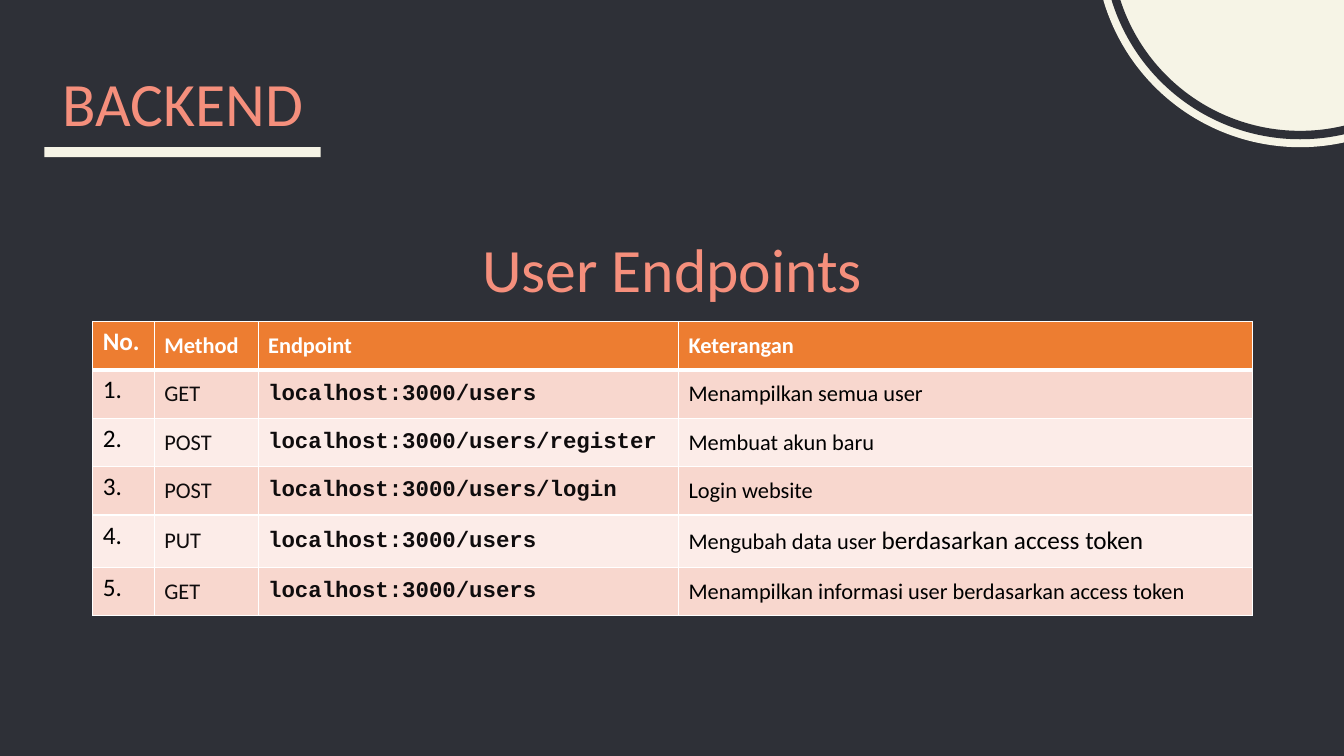
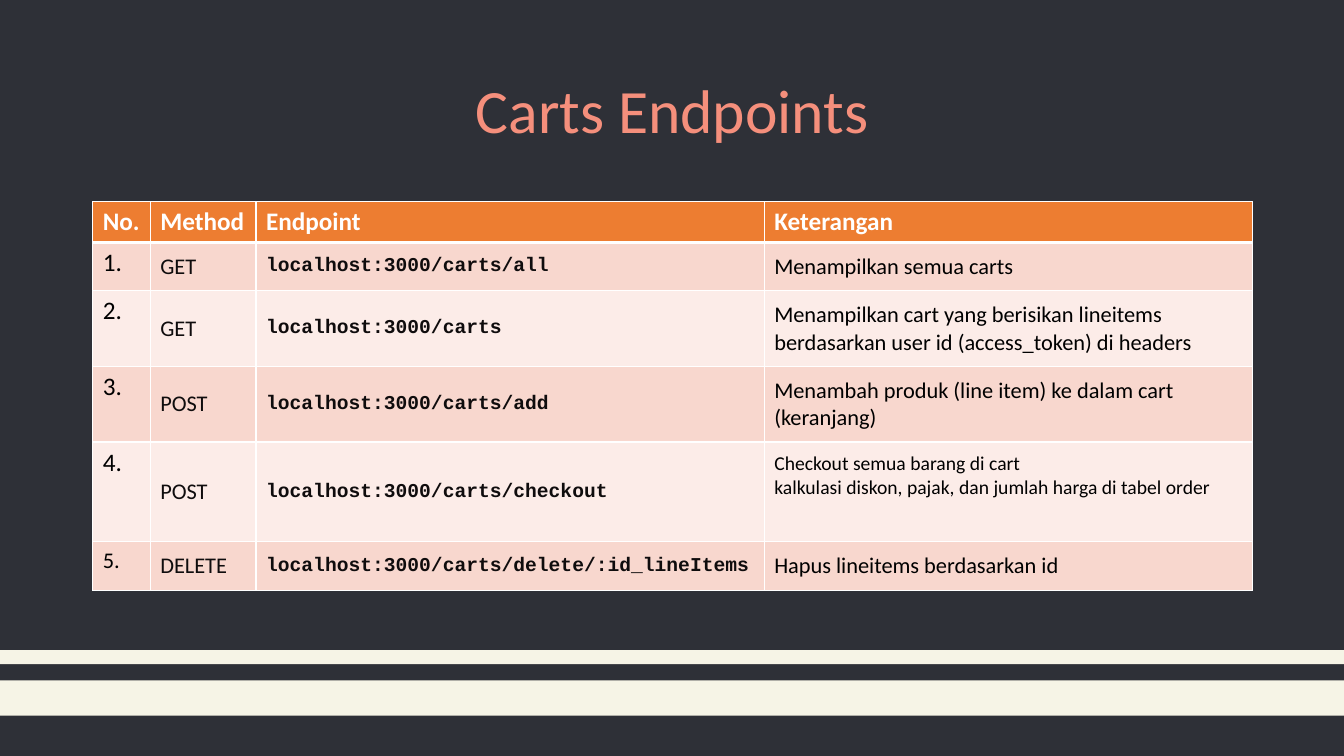
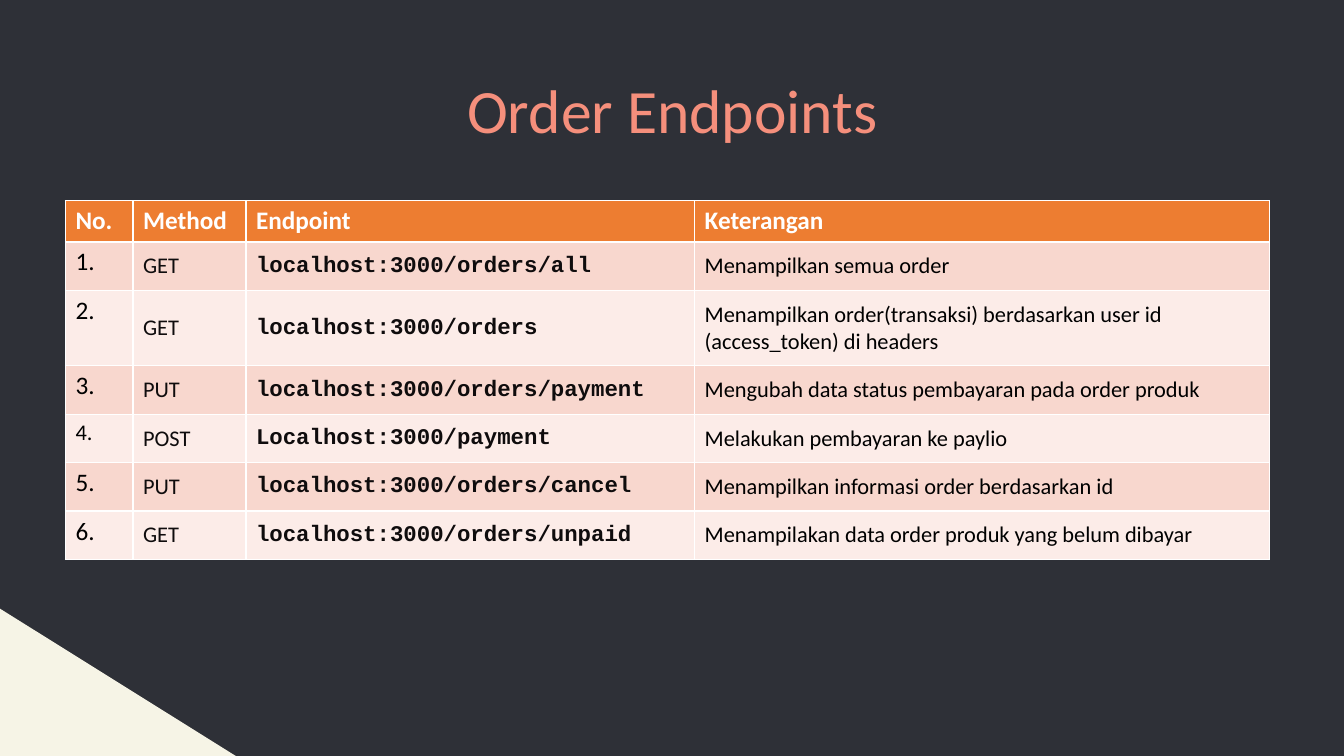
"""Build three slides that list the backend endpoints in tables."""
from lxml.etree import SubElement
from pptx import Presentation
from pptx.dml.color import RGBColor
from pptx.enum.shapes import MSO_SHAPE
from pptx.enum.text import MSO_ANCHOR, PP_ALIGN
from pptx.oxml.ns import qn
from pptx.util import Inches, Pt

NIGHT = RGBColor(0x2E, 0x30, 0x37)
CREAM = RGBColor(0xF6, 0xF4, 0xE6)
CORAL = RGBColor(0xF5, 0x8F, 0x7C)
ORANGE = RGBColor(0xED, 0x7D, 0x31)
ROSE = RGBColor(0xF8, 0xD7, 0xCE)
BLUSH = RGBColor(0xFC, 0xEC, 0xE8)
WHITE = RGBColor(0xFF, 0xFF, 0xFF)
BLACK = RGBColor(0x00, 0x00, 0x00)
INK = RGBColor(0x0F, 0x0C, 0x0D)

BODY_FONT = "Calibri"
CODE_FONT = "Courier New"
TITLE_ONLY = 5
PADDING = 0.1
NUMBER, METHOD, ENDPOINT, NOTE = range(4)
HEADER = ("No.", "Method", "Endpoint", "Keterangan")

USERS = {
    "title": "User Endpoints",
    "title_top": 1.98,
    "at": (0.92, 3.19),
    "columns": (0.61, 1.03, 4.17, 5.69),
    "heights": (0.48, 0.48, 0.48, 0.48, 0.52, 0.48),
    "header_size": 16,
    "code_size": 16,
    "header_rule": 3,
    "sizes": {(0, NUMBER): 18},
    "rows": [
        ("GET", "localhost:3000/users", "Menampilkan semua user"),
        ("POST", "localhost:3000/users/register", "Membuat akun baru"),
        ("POST", "localhost:3000/users/login", "Login website"),
        ("PUT", "localhost:3000/users",
         (("Mengubah data user ", 16), ("berdasarkan access token", 18))),
        ("GET", "localhost:3000/users",
         "Menampilkan informasi user berdasarkan access token"),
    ],
}
CARTS = {
    "title": "Carts Endpoints",
    "title_top": 0.4,
    "at": (0.92, 2),
    "columns": (0.57, 1.05, 5.04, 4.84),
    "heights": (0.4, 0.48, 0.75, 0.75, 0.99, 0.48),
    "header_size": 18,
    "code_size": 14,
    "header_rule": 3,
    "sizes": {(4, NOTE): 14, (5, NUMBER): 16},
    "top_cells": [(4, NOTE)],
    "rows": [
        ("GET", "localhost:3000/carts/all", "Menampilkan semua carts"),
        ("GET", "localhost:3000/carts",
         "Menampilkan cart yang berisikan lineitems berdasarkan user id (access_token) di headers"),
        ("POST", "localhost:3000/carts/add",
         "Menambah produk (line item) ke dalam cart (keranjang)"),
        ("POST", "localhost:3000/carts/checkout",
         "Checkout semua barang di cart\nkalkulasi diskon, pajak, dan jumlah harga di tabel order"),
        ("DELETE", "localhost:3000/carts/delete/:id_lineItems",
         "Hapus lineitems berdasarkan id"),
    ],
}
ORDERS = {
    "title": "Order Endpoints",
    "title_top": 0.4,
    "at": (0.65, 1.99),
    "columns": (0.67, 1.12, 4.45, 5.7),
    "heights": (0.41, 0.48, 0.75, 0.48, 0.48, 0.48, 0.48),
    "header_size": 18,
    "code_size": 16,
    "header_rule": 1,
    "sizes": {(4, NUMBER): 16},
    "rows": [
        ("GET", "localhost:3000/orders/all", "Menampilkan semua order"),
        ("GET", "localhost:3000/orders",
         "Menampilkan order(transaksi) berdasarkan user id (access_token) di headers"),
        ("PUT", "localhost:3000/orders/payment",
         "Mengubah data status pembayaran pada order produk"),
        ("POST", "Localhost:3000/payment", "Melakukan pembayaran ke paylio"),
        ("PUT", "localhost:3000/orders/cancel",
         "Menampilkan informasi order berdasarkan id"),
        ("GET", "localhost:3000/orders/unpaid",
         "Menampilakan data order produk yang belum dibayar"),
    ],
}


def style_span(span, size, color, bold=False, font=BODY_FONT):
    span.font.name = font
    span.font.size = Pt(size)
    span.font.bold = bold
    span.font.color.rgb = color


def write_heading(box, text, left, top, width):
    box.left, box.top = Inches(left), Inches(top)
    box.width, box.height = Inches(width), Inches(1.45)
    frame = box.text_frame
    frame.text = text
    frame.word_wrap = True
    frame.vertical_anchor = MSO_ANCHOR.MIDDLE
    para = frame.paragraphs[0]
    para.alignment = PP_ALIGN.CENTER
    para.line_spacing = 0.9
    style_span(para.runs[0], 44, CORAL)


def add_decoration(page, kind, left, top, width, height):
    shape = page.shapes.add_shape(
        kind, Inches(left), Inches(top), Inches(width), Inches(height))
    shape.shadow.inherit = False
    shape.fill.solid()
    shape.fill.fore_color.rgb = CREAM
    shape.line.fill.background()
    return shape


def set_borders(cell, top, bottom):
    properties = cell._tc.get_or_add_tcPr()
    for side, width in (("L", 1), ("R", 1), ("T", top), ("B", bottom)):
        line = SubElement(properties, qn(f"a:ln{side}"), w=str(Pt(width)))
        fill = SubElement(line, qn("a:solidFill"))
        SubElement(fill, qn("a:srgbClr"), val=str(WHITE))


def write_cell(cell, content, size, **style):
    frame = cell.text_frame
    if isinstance(content, str):
        frame.text = content
        for para in frame.paragraphs:
            style_span(para.runs[0], size, **style)
    else:
        for text, span_size in content:
            span = frame.paragraphs[0].add_run()
            span.text = text
            style_span(span, span_size, **style)


def format_cell(cell, topic, row, column, content):
    rule = topic["header_rule"]
    set_borders(cell, rule if row == 1 else 1, rule if row == 0 else 1)
    cell.fill.solid()
    if row == 0:
        cell.fill.fore_color.rgb = ORANGE
        size, style = topic["header_size"], {"color": WHITE, "bold": True}
        padded = column != NUMBER and size == 16
    else:
        cell.fill.fore_color.rgb = ROSE if row % 2 else BLUSH
        size, style = {
            NUMBER: (18, {"color": BLACK}),
            METHOD: (16, {"color": INK}),
            ENDPOINT: (topic["code_size"],
                       {"color": INK, "bold": True, "font": CODE_FONT}),
            NOTE: (16, {"color": BLACK}),
        }[column]
        padded = column != NUMBER
    if padded:
        cell.margin_top = cell.margin_bottom = Inches(PADDING)
        if (row, column) not in topic.get("top_cells", ()):
            cell.vertical_anchor = MSO_ANCHOR.MIDDLE
    write_cell(cell, content, topic["sizes"].get((row, column), size), **style)


def add_endpoint_table(page, topic):
    rows = [HEADER] + [(f"{number}.", *row)
                       for number, row in enumerate(topic["rows"], 1)]
    left, top = topic["at"]
    table = page.shapes.add_table(
        len(rows), len(HEADER), Inches(left), Inches(top),
        Inches(sum(topic["columns"])), Inches(sum(topic["heights"]))).table
    table.horz_banding = False
    for column, width in zip(table.columns, topic["columns"]):
        column.width = Inches(width)
    for row, height in zip(table.rows, topic["heights"]):
        row.height = Inches(height)
    for row, contents in enumerate(rows):
        for column, content in enumerate(contents):
            format_cell(table.cell(row, column), topic, row, column, content)


def decorate_users(page):
    section = page.shapes.add_textbox(0, 0, 0, 0)
    write_heading(section, "BACKEND", 0.34, 0.33, 2.95)
    add_decoration(page, MSO_SHAPE.RECTANGLE, 0.44, 1.46, 2.74, 0.1)
    add_decoration(page, MSO_SHAPE.OVAL, 10.86, -2.61, 4.07, 4.07)
    ring = add_decoration(page, MSO_SHAPE.OVAL, 10.98, -2.49, 3.83, 3.83)
    ring.fill.background()
    ring.line.color.rgb = NIGHT
    ring.line.width = Pt(6)


def decorate_carts(page):
    for top, height in ((6.45, 0.14), (6.75, 0.35)):
        add_decoration(page, MSO_SHAPE.RECTANGLE, 0, top, 13.33, height)


def decorate_orders(page):
    corner = add_decoration(page, MSO_SHAPE.RECTANGLE, -3.16, 6.2, 5.85, 3.44)
    corner.rotation = 32


def main():
    deck = Presentation()
    deck.slide_width, deck.slide_height = Inches(13.33), Inches(7.5)
    background = deck.slide_master.background.fill
    background.solid()
    background.fore_color.rgb = NIGHT
    for topic, decorate in ((USERS, decorate_users), (CARTS, decorate_carts),
                            (ORDERS, decorate_orders)):
        page = deck.slides.add_slide(deck.slide_layouts[TITLE_ONLY])
        write_heading(page.shapes.title, topic["title"],
                      0.92, topic["title_top"], 11.5)
        decorate(page)
        add_endpoint_table(page, topic)
    deck.save("out.pptx")


if __name__ == "__main__":
    main()
